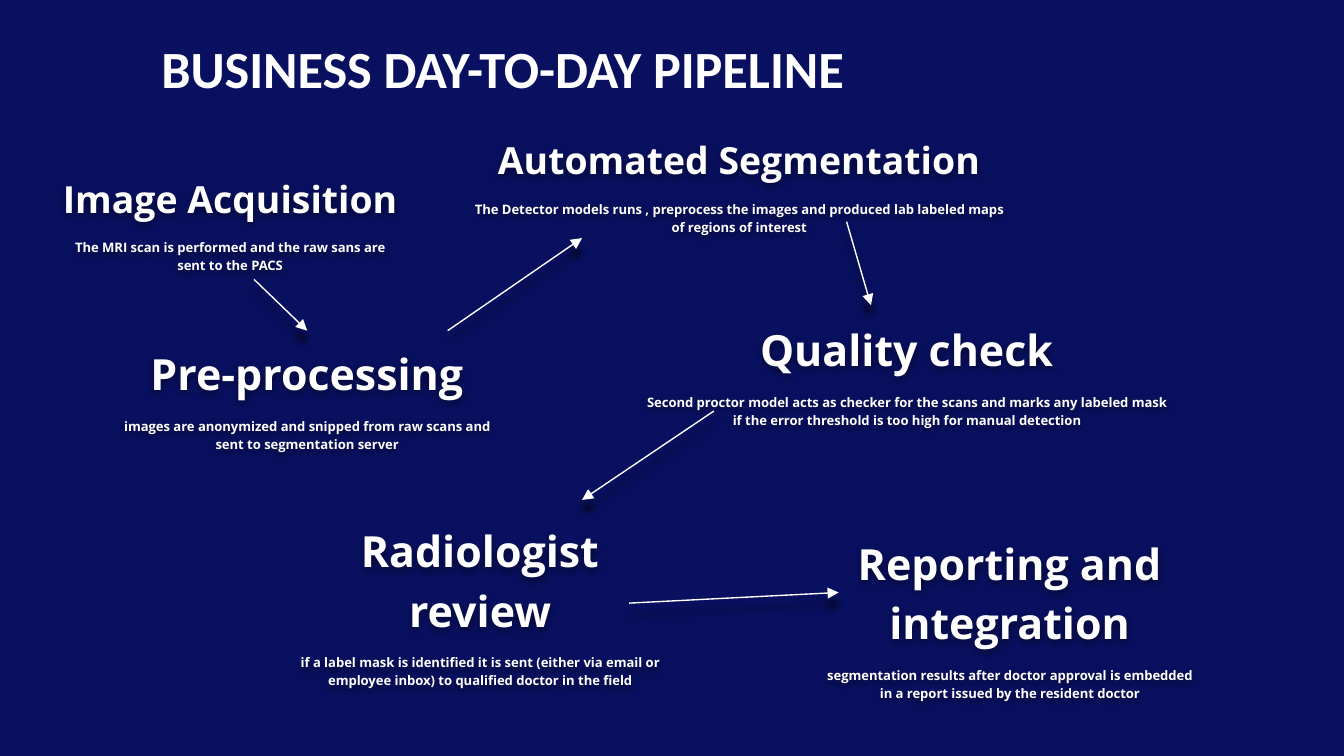
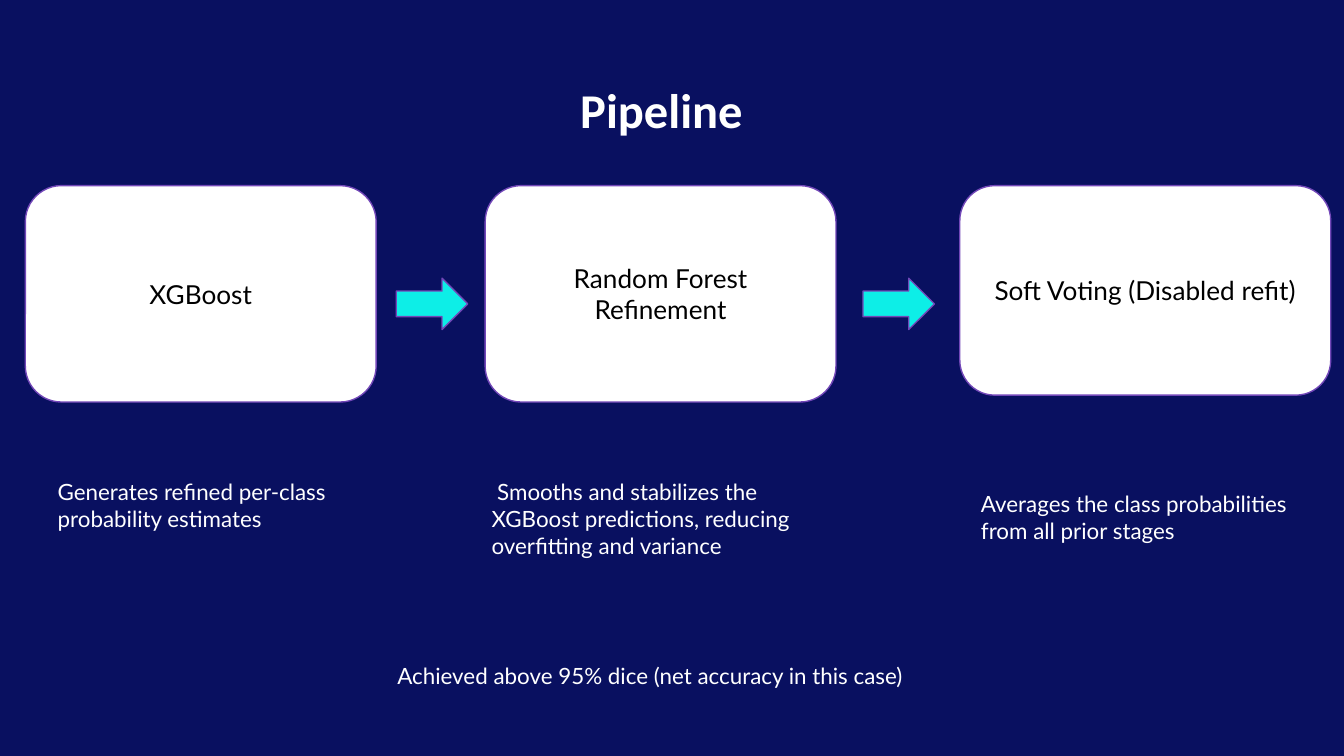
from dataclasses import dataclass

from lxml import etree
from pptx import Presentation
from pptx.dml.color import RGBColor
from pptx.enum.shapes import MSO_CONNECTOR, MSO_SHAPE
from pptx.enum.text import MSO_ANCHOR, PP_ALIGN
from pptx.oxml.ns import qn
from pptx.shapes.autoshape import Shape
from pptx.shapes.connector import Connector
from pptx.slide import Slide
from pptx.text.text import TextFrame
from pptx.util import Cm, Pt

NAVY = RGBColor(0x09, 0x10, 0x60)
WHITE = RGBColor(0xFF, 0xFF, 0xFF)
BLACK = RGBColor(0x00, 0x00, 0x00)
PURPLE = RGBColor(0x72, 0x47, 0xB8)
CYAN = RGBColor(0x0D, 0xEE, 0xE7)

TITLE_FONT = "Calibri"
STAGE_FONT = "Open Sans"
BODY_FONT = "Lato"

LEFT = PP_ALIGN.LEFT
CENTER = PP_ALIGN.CENTER
TOP = MSO_ANCHOR.TOP
MIDDLE = MSO_ANCHOR.MIDDLE
STRAIGHT = MSO_CONNECTOR.STRAIGHT
CARD_SHAPE = MSO_SHAPE.FLOWCHART_ALTERNATE_PROCESS
ARROW_SHAPE = MSO_SHAPE.RIGHT_ARROW

OUTLINE_WIDTH = Pt(0.75)
NARROW_INSET = 0.18
WIDE_INSET = 0.25
TOP_SIDE = 0


@dataclass(frozen=True)
class Box:
    left: float
    top: float
    width: float
    height: float

    def lengths(self) -> tuple[Cm, Cm, Cm, Cm]:
        return Cm(self.left), Cm(self.top), Cm(self.width), Cm(self.height)


@dataclass(frozen=True)
class Stage:
    heading: str
    detail: str
    box: Box
    heading_size: int = 23


@dataclass(frozen=True)
class Flow:
    start: tuple[float, float]
    end: tuple[float, float]
    target: str = ""


@dataclass(frozen=True)
class Model:
    name: str
    card: Box
    summary: str
    summary_box: Box


STAGES = [
    Stage("Image Acquisition",
          "The MRI scan is performed and the raw sans are sent to the PACS",
          Box(0.97, 3.02, 6.76, 3.91), 20),
    Stage("Pre-processing",
          "images are anonymized and snipped from raw scans and sent to segmentation server",
          Box(2.06, 6.25, 7.49, 2.82)),
    Stage("Automated Segmentation",
          "The Detector models runs , preprocess the images and produced lab labeled "
          "maps of regions of interest",
          Box(8.79, 2.29, 10.36, 3.73), 20),
    Stage("Quality check",
          "Second proctor model acts as checker for the scans and marks any labeled mask "
          "if the error threshold is too high for manual detection",
          Box(11.96, 5.79, 10.36, 3.73)),
    Stage("Radiologist review",
          "if a label mask is identified it is sent (either via email or employee inbox) "
          "to qualified doctor in the field",
          Box(5.33, 9.6, 7.49, 3.58)),
    Stage("Reporting and integration",
          "segmentation results after doctor approval is embedded in a report issued "
          "by the resident doctor",
          Box(15.34, 9.83, 7.49, 3.58)),
]

FLOWS = [
    Flow((4.8, 5.28), (5.82, 6.25), "Pre-processing"),
    Flow((8.46, 6.25), (11, 4.5)),
    Flow((16, 4.19), (16.46, 5.77)),
    Flow((13.49, 7.77), (11, 9.45)),
    Flow((11.89, 11.4), (15.85, 11.2)),
]

MODELS = [
    Model("XGBoost", Box(0.48, 3.51, 6.63, 4.09),
          "Generates refined per‐class probability estimates",
          Box(0.84, 8.79, 6.3, 3.78)),
    Model("Random Forest Refinement", Box(9.17, 3.51, 6.63, 4.09),
          " Smooths and stabilizes the XGBoost predictions, reducing overfitting and variance",
          Box(9.04, 8.79, 6.3, 3.78)),
    Model("Soft Voting (Disabled refit)", Box(18.14, 3.51, 7.01, 3.96),
          "Averages the class probabilities from all prior stages",
          Box(18.29, 9.02, 6.3, 3.78)),
]

ARROW_LEFTS = [7.49, 16.31]


def write_text(frame: TextFrame, *lines: tuple[str, int], font: str = BODY_FONT,
               color: RGBColor = WHITE, bold: bool = False, align: PP_ALIGN = LEFT,
               anchor: MSO_ANCHOR = TOP, inset: float = WIDE_INSET,
               line_spacing: float = 1.0) -> None:
    frame.word_wrap = True
    frame.vertical_anchor = anchor
    frame.margin_left = frame.margin_right = Cm(inset)
    frame.margin_top = frame.margin_bottom = Cm(inset)
    for index, (text, size) in enumerate(lines):
        paragraph = frame.add_paragraph() if index else frame.paragraphs[0]
        paragraph.alignment = align
        paragraph.line_spacing = line_spacing
        if index:
            paragraph.space_before = Pt(9)
        run = paragraph.add_run()
        run.text = text
        run.font.name = font
        run.font.size = Pt(size)
        run.font.bold = bold
        run.font.color.rgb = color


def add_text(slide: Slide, box: Box, *lines: tuple[str, int], **text_format) -> Shape:
    label = slide.shapes.add_textbox(*box.lengths())
    write_text(label.text_frame, *lines, **text_format)
    return label


def cast_shadow(part: Shape | Connector, blur: float, distance: float, opacity: int) -> None:
    effects = etree.SubElement(part.element.spPr, qn("a:effectLst"))
    shadow = etree.SubElement(effects, qn("a:outerShdw"), blurRad=str(Pt(blur)),
                              dist=str(Pt(distance)), dir="5400000",
                              algn="bl", rotWithShape="0")
    tint = etree.SubElement(shadow, qn("a:srgbClr"), val=str(BLACK))
    etree.SubElement(tint, qn("a:alpha"), val=str(opacity * 1000))


def add_stage(slide: Slide, stage: Stage) -> Shape:
    label = add_text(slide, stage.box, (stage.heading, stage.heading_size), (stage.detail, 7),
                     font=STAGE_FONT, bold=True, align=CENTER, inset=NARROW_INSET,
                     line_spacing=1.15)
    cast_shadow(label, blur=4.5, distance=1.5, opacity=50)
    return label


def add_flow(slide: Slide, flow: Flow, stages: dict[str, Shape]) -> None:
    ends = [Cm(value) for value in (*flow.start, *flow.end)]
    arrow = slide.shapes.add_connector(STRAIGHT, *ends)
    if flow.target:
        arrow.end_connect(stages[flow.target], TOP_SIDE)
    arrow.line.color.rgb = WHITE
    arrow.line.width = OUTLINE_WIDTH
    etree.SubElement(arrow.line._get_or_add_ln(), qn("a:tailEnd"), type="triangle")
    cast_shadow(arrow, blur=4.5, distance=6, opacity=83)


def add_block(slide: Slide, preset: MSO_SHAPE, box: Box, fill: RGBColor) -> Shape:
    block = slide.shapes.add_shape(preset, *box.lengths())
    block.shadow.inherit = False
    block.fill.solid()
    block.fill.fore_color.rgb = fill
    block.line.color.rgb = PURPLE
    block.line.width = OUTLINE_WIDTH
    return block


def add_model(slide: Slide, model: Model) -> None:
    card = add_block(slide, CARD_SHAPE, model.card, WHITE)
    write_text(card.text_frame, (model.name, 14), color=BLACK, align=CENTER, anchor=MIDDLE)
    add_text(slide, model.summary_box, (model.summary, 12))


def add_slide(deck: Presentation, title: str, size: int, box: Box, **text_format) -> Slide:
    slide = deck.slides.add_slide(deck.slide_layouts[6])
    slide.background.fill.solid()
    slide.background.fill.fore_color.rgb = NAVY
    add_text(slide, box, (title, size), font=TITLE_FONT, bold=True, **text_format)
    return slide


def build_business_pipeline(deck: Presentation) -> None:
    slide = add_slide(deck, "BUSINESS DAY-TO-DAY PIPELINE", 28, Box(2.87, 0.33, 19.94, 1.55),
                      inset=NARROW_INSET, line_spacing=1.15)
    stages = {stage.heading: add_stage(slide, stage) for stage in STAGES}
    for flow in FLOWS:
        add_flow(slide, flow, stages)


def build_model_pipeline(deck: Presentation) -> None:
    slide = add_slide(deck, "Pipeline", 26, Box(1.8, 1.27, 21.41, 1.75), align=CENTER)
    for model in MODELS:
        add_model(slide, model)
    for left in ARROW_LEFTS:
        add_block(slide, ARROW_SHAPE, Box(left, 5.26, 1.35, 0.97), CYAN)
    add_text(slide, Box(7.26, 12.27, 10.9, 1.07),
             ("Achieved above 95% dice (net accuracy in this case)", 12))


def main() -> None:
    deck = Presentation()
    deck.slide_width = Cm(25.4)
    deck.slide_height = Cm(14.29)
    build_business_pipeline(deck)
    build_model_pipeline(deck)
    deck.save("out.pptx")


if __name__ == "__main__":
    main()
